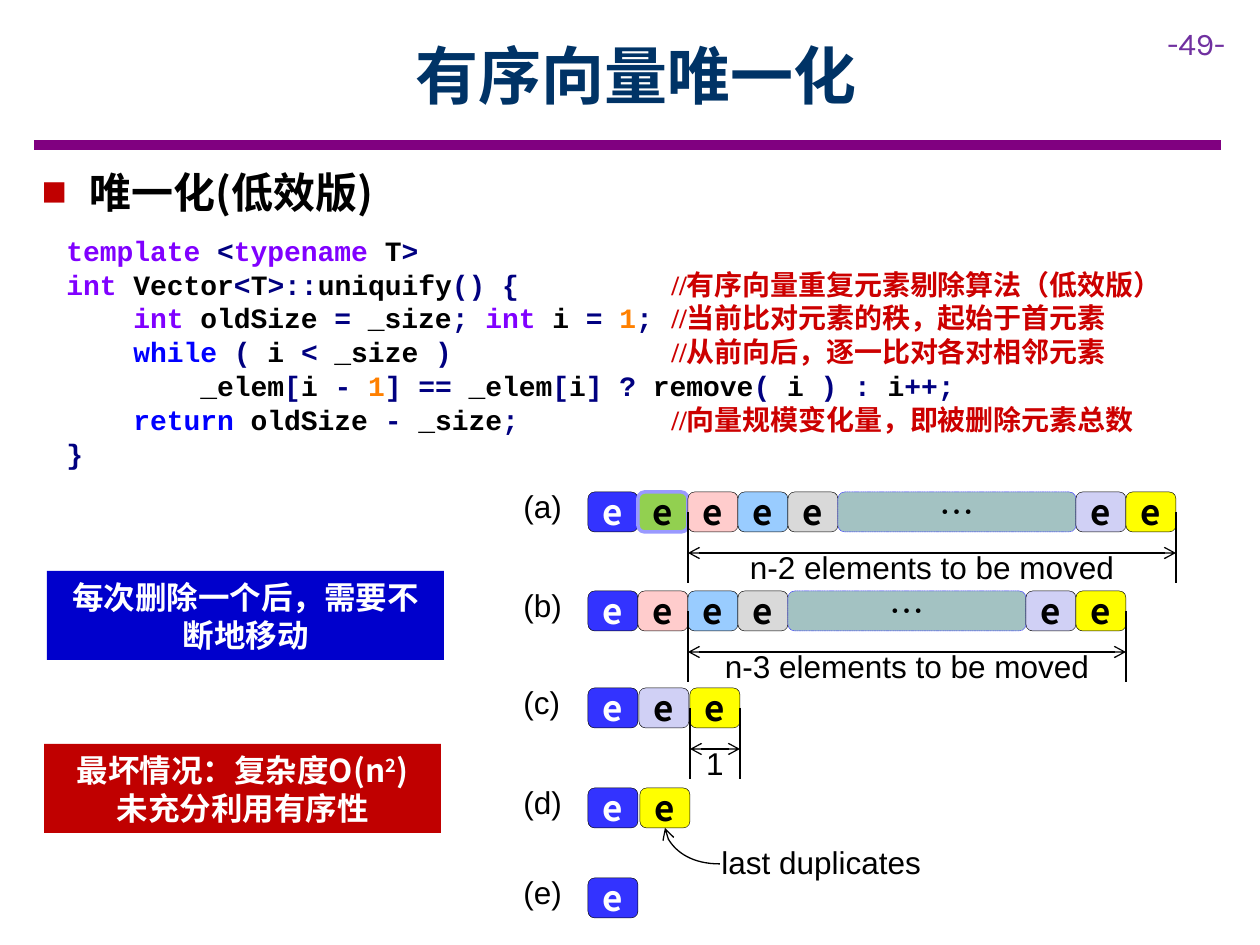
from lxml.etree import SubElement
from pptx import Presentation
from pptx.dml.color import RGBColor
from pptx.enum.dml import MSO_LINE
from pptx.enum.shapes import MSO_CONNECTOR, MSO_SHAPE
from pptx.enum.text import MSO_ANCHOR, MSO_AUTO_SIZE, PP_ALIGN
from pptx.oxml.ns import qn
from pptx.util import Pt

PX = 914400 // 126
CJK, SANS, MONO, SERIF = "Noto Sans CJK SC", "Arial", "Courier New", "Times New Roman"
BLACK, WHITE = "000000", "FFFFFF"

# Code, as (text, colour) runs
KEYWORD, FLOW, PLAIN, SYMBOL, NUMBER, COMMENT = (
    "8000FF", "0000FF", BLACK, "000080", "FF8000", "CC0000")
CODE = [
    [("template ", KEYWORD), ("<", SYMBOL), ("typename", KEYWORD), (" T", PLAIN),
     (">", SYMBOL)],
    [("int", KEYWORD), (" Vector", PLAIN), ("<", SYMBOL), ("T", PLAIN), (">::", SYMBOL),
     ("uniquify", PLAIN), ("() {", SYMBOL),
     ("\t//有序向量重复元素剔除算法（低效版）", COMMENT)],
    [("    ", PLAIN), ("int ", KEYWORD), ("oldSize ", PLAIN), ("=", SYMBOL),
     (" _size", PLAIN), ("; ", SYMBOL), ("int ", KEYWORD), ("i ", PLAIN), ("= ", SYMBOL),
     ("1", NUMBER), (";", SYMBOL), ("\t//当前比对元素的秩，起始于首元素", COMMENT)],
    [("    ", PLAIN), ("while ", FLOW), ("( ", SYMBOL), ("i ", PLAIN), ("<", SYMBOL),
     (" _size ", PLAIN), (")", SYMBOL), ("\t//从前向后，逐一比对各对相邻元素", COMMENT)],
    [("        _elem", PLAIN), ("[", SYMBOL), ("i ", PLAIN), ("- ", SYMBOL), ("1", NUMBER),
     ("] ==", SYMBOL), (" _elem", PLAIN), ("[", SYMBOL), ("i", PLAIN), ("] ?", SYMBOL),
     (" remove", PLAIN), ("( ", SYMBOL), ("i ", PLAIN), (") : ", SYMBOL), ("i", PLAIN),
     ("++;", SYMBOL)],
    [("    ", PLAIN), ("return ", FLOW), ("oldSize ", PLAIN), ("-", SYMBOL),
     (" _size", PLAIN), (";", SYMBOL), ("\t//向量规模变化量，即被删除元素总数", COMMENT)],
    [("}", SYMBOL)],
]

# Vector states: label, top, gap between cells, cell fills, caption of the moved part
BLUE, GREEN, PINK, SKY, GREY, REST, LILAC, YELLOW = (
    "3333FF", "92D050", "FFCCCC", "99CCFF", "D9D9D9", "A3C2C2", "D0D0F5", "FFFF00")
STATES = [
    ("(a)", 492, 0, [BLUE, GREEN, PINK, SKY, GREY, REST, LILAC, YELLOW],
     "n-2 elements to be moved"),
    ("(b)", 591, 0, [BLUE, PINK, SKY, GREY, REST, LILAC, YELLOW],
     "n-3 elements to be moved"),
    ("(c)", 688, 1, [BLUE, LILAC, YELLOW], "1"),
    ("(d)", 788, 2, [BLUE, YELLOW], None),
    ("(e)", 878, 0, [BLUE], None),
]
CELL_LEFT, CELL_WIDTH, REST_WIDTH, CELL_HEIGHT = 588, 50, 238, 40
FIRST_MOVED = 2

# Call-outs: left, top, fill, paragraphs of (text, baseline) runs
NOTES = [
    (44, 744, "C00000", [[("最坏情况：复杂度O(n", 0), ("2", 30000), (")", 0)],
                         [("未充分利用有序性", 0)]]),
    (47, 571, "0000CC", [[("每次删除一个后，需要不断地移动", 0)]]),
]


def color(value):
    return RGBColor.from_string(value)


def add_run(paragraph, text, size, font, fill=BLACK, bold=False, baseline=0):
    run = paragraph.add_run()
    run.text = text
    run.font.size, run.font.name, run.font.bold = Pt(size), font, bold
    run.font.color.rgb = color(fill)
    properties = run.font._element
    SubElement(properties, qn("a:ea")).set("typeface", CJK)
    if baseline:
        properties.set("baseline", str(baseline))


def place(shape, left, top, width, height):
    shape.left, shape.top, shape.width, shape.height = (
        n * PX for n in (left, top, width, height))


def add_text(left, top, width, height):
    box = slide.shapes.add_textbox(*(n * PX for n in (left, top, width, height)))
    box.text_frame.word_wrap = True
    return box.text_frame


def add_label(text, left, top, width, align=PP_ALIGN.LEFT, font=SANS, fill=BLACK):
    paragraph = add_text(left, top, width, 50).paragraphs[0]
    paragraph.alignment = align
    add_run(paragraph, text, 18, font, fill)


def add_box(kind, left, top, width, height, fill):
    shape = slide.shapes.add_shape(kind, *(n * PX for n in (left, top, width, height)))
    shape.shadow.inherit = False
    shape.fill.solid()
    shape.fill.fore_color.rgb = color(fill)
    shape.text_frame.word_wrap = True
    shape.text_frame.vertical_anchor = MSO_ANCHOR.MIDDLE
    return shape


def add_line(start, end, width=0.75, fill=BLACK, arrows=(), kind=MSO_CONNECTOR.STRAIGHT):
    line = slide.shapes.add_connector(kind, *(n * PX for n in (*start, *end)))
    line.line.width, line.line.color.rgb = Pt(width), color(fill)
    for arrow in arrows:
        SubElement(line.line._get_or_add_ln(), qn(f"a:{arrow}")).set("type", "arrow")
    SubElement(line._element.spPr, qn("a:effectLst"))
    return line


def add_cell(left, top, width, fill):
    cell = add_box(MSO_SHAPE.ROUNDED_RECTANGLE, left, top, width, CELL_HEIGHT, fill)
    cell.line.width, cell.line.color.rgb = Pt(0.25), color(BLACK)
    if fill == REST:
        cell.line.color.rgb, cell.line.dash_style = color(BLUE), MSO_LINE.SQUARE_DOT
    elif fill == GREEN:
        cell.line.width, cell.line.color.rgb = Pt(2), color("9999FF")
    frame = cell.text_frame
    frame.margin_top = frame.margin_bottom = frame.margin_left
    paragraph = frame.paragraphs[0]
    paragraph.alignment = PP_ALIGN.CENTER
    add_run(paragraph, "…" if fill == REST else "e", 20, CJK,
            WHITE if fill == BLUE else BLACK, bold=fill != REST)


presentation = Presentation()
presentation.slide_width, presentation.slide_height = 1260 * PX, 945 * PX
slide = presentation.slides.add_slide(presentation.slide_layouts[1])

# Header
add_line((34, 145), (1221, 145), 6, "800080")
add_label("-49-", 1155, 18, 105, font="Karla", fill="7030A0")
title, body = slide.placeholders
place(title, 113, 11, 1047, 126)
title.text_frame.auto_size = MSO_AUTO_SIZE.NONE
title.text_frame.vertical_anchor = MSO_ANCHOR.MIDDLE
title_paragraph = title.text_frame.paragraphs[0]
title_paragraph.alignment = PP_ALIGN.CENTER
add_run(title_paragraph, "有序向量唯一化", 36, CJK, "003366", True)

# Bulleted heading
place(body, 29, 160, 503, 63)
body.text_frame.auto_size = MSO_AUTO_SIZE.NONE
heading = body.text_frame.paragraphs[0]
heading_properties = heading._element.get_or_add_pPr()
heading_properties.set("marL", str(48 * PX))
heading_properties.set("indent", str(-48 * PX))
bullet_color = SubElement(heading_properties, qn("a:buClr"))
SubElement(bullet_color, qn("a:srgbClr")).set("val", "C00000")
SubElement(heading_properties, qn("a:buChar")).set("char", "■")
heading.space_before, heading.space_after = Pt(0), Pt(6)
add_run(heading, "唯一化(低效版)", 24, CJK, bold=True)

# Code, with its comments on one tab stop
code_frame = add_text(54, 227, 1200, 251)
for index, runs in enumerate(CODE):
    paragraph = code_frame.add_paragraph() if index else code_frame.paragraphs[0]
    tabs = SubElement(paragraph._element.get_or_add_pPr(), qn("a:tabLst"))
    tab = SubElement(tabs, qn("a:tab"))
    tab.set("pos", str(605 * PX))
    tab.set("algn", "l")
    paragraph.line_spacing = Pt(19.3)
    for text, fill in runs:
        add_run(paragraph, text, 16, SERIF if fill == COMMENT else MONO, fill, True)

# Vector states
for label, top, gap, fills, caption in STATES:
    add_label(label, 511, top - 11, 84)
    left, edges = CELL_LEFT, []
    for fill in fills:
        width = REST_WIDTH if fill == REST else CELL_WIDTH
        add_cell(left, top, width, fill)
        edges.append(left)
        left += width + gap
    if caption:
        start, end = edges[FIRST_MOVED], left - gap
        for x in (start, end):
            add_line((x, top + 20), (x, top + 91))
        add_line((start, top + 61), (end, top + 61), arrows=("headEnd", "tailEnd"))
        add_label(caption, start, top + 50, end - start, PP_ALIGN.CENTER)

# Pointer to the last duplicate
add_label("last duplicates", 709, 837, 280)
pointer = add_line((720, 864), (665, 828), arrows=("tailEnd",), kind=MSO_CONNECTOR.CURVE)
pointer._element.spPr.find(qn("a:prstGeom")).set("prst", "curvedConnector2")

# Call-outs
for left, top, fill, lines in NOTES:
    note = add_box(MSO_SHAPE.RECTANGLE, left, top, 397, 89, fill)
    note.line.fill.background()
    for index, runs in enumerate(lines):
        frame = note.text_frame
        paragraph = frame.add_paragraph() if index else frame.paragraphs[0]
        paragraph.alignment, paragraph.line_spacing = PP_ALIGN.CENTER, Pt(22)
        for text, baseline in runs:
            add_run(paragraph, text, 18, CJK, WHITE, True, baseline)

presentation.save("out.pptx")
